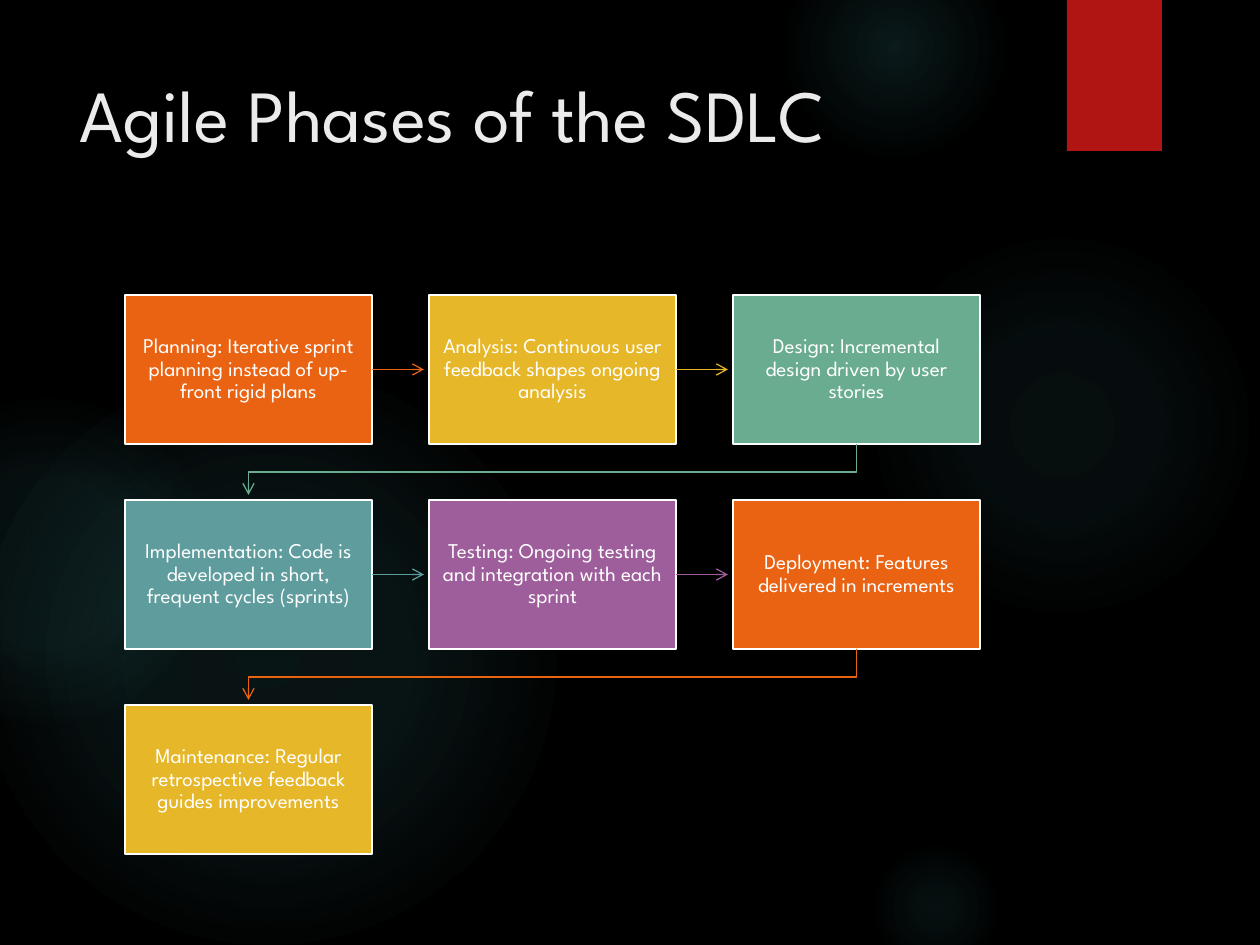
from dataclasses import dataclass

from lxml import etree
from pptx import Presentation
from pptx.dml.color import RGBColor
from pptx.enum.shapes import MSO_CONNECTOR, MSO_SHAPE
from pptx.enum.text import MSO_ANCHOR, MSO_AUTO_SIZE, PP_ALIGN
from pptx.oxml import parse_xml
from pptx.oxml.ns import qn
from pptx.util import Emu, Pt

RECT, OVAL = MSO_SHAPE.RECTANGLE, MSO_SHAPE.OVAL
LINE = MSO_CONNECTOR.STRAIGHT
TOP, MIDDLE = MSO_ANCHOR.TOP, MSO_ANCHOR.MIDDLE
LEFT, CENTER = PP_ALIGN.LEFT, PP_ALIGN.CENTER
SCALE = 914400 / 126
RIGHT_SIDE = 3
NS = "http://schemas.openxmlformats.org/drawingml/2006/main"


@dataclass
class Theme:
    font: str = "League Spartan"
    back: str = "000000"
    ribbon: str = "B01513"
    glow: str = "50B9C1"
    title: str = "EBEBEB"
    text: str = "FFFFFF"
    hues: tuple = ("EA6312", "E6B729", "6AAC90", "5F9C9D", "9E5E9B")
    head: int = 42
    body: int = 12
    edge: float = 1.5
    link: float = 0.75


def px(n):
    return Emu(round(n * SCALE))


def style(para, size, color, align):
    para.font.name = theme.font
    para.font.size = Pt(size)
    para.font.color.rgb = RGBColor.from_string(color)
    para.alignment = align


theme = Theme()
deck = Presentation()
deck.slide_width, deck.slide_height = px(1260), px(945)
slide = deck.slides.add_slide(deck.slide_layouts[5])
shapes = slide.shapes
slide.background.fill.solid()
slide.background.fill.fore_color.rgb = RGBColor.from_string(theme.back)

# Soft round glows: left, top, size, then (position, opacity) stops in percent
glows = [
    (868, 231, 388, [(0, 7), (36, 6), (69, 0)]),
    (784, -63, 221, [(0, 14), (36, 7), (73, 0)]),
    (868, 840, 136, [(0, 9), (36, 5), (66, 0)]),
    (-21, 368, 577, [(0, 11), (36, 10), (75, 0)]),
    (-116, 399, 325, [(0, 8), (36, 8), (72, 0)]),
]
for x, y, size, stops in glows:
    glow = shapes.add_shape(OVAL, px(x), px(y), px(size), px(size))
    glow.shadow.inherit = False
    glow.line.fill.background()
    marks = "".join(
        f'<a:gs pos="{pos}000"><a:srgbClr val="{theme.glow}">'
        f'<a:alpha val="{alpha}000"/></a:srgbClr></a:gs>'
        for pos, alpha in stops
    )
    fill = parse_xml(
        f'<a:gradFill xmlns:a="{NS}"><a:gsLst>{marks}</a:gsLst><a:path path="circle">'
        '<a:fillToRect l="50000" t="50000" r="50000" b="50000"/></a:path></a:gradFill>'
    )
    glow.element.spPr.find(qn("a:prstGeom")).addnext(fill)

ribbon = shapes.add_shape(RECT, px(1067), px(0), px(95), px(151))
ribbon.shadow.inherit = False
ribbon.fill.solid()
ribbon.fill.fore_color.rgb = RGBColor.from_string(theme.ribbon)
ribbon.line.fill.background()

title = shapes.title
title.left, title.top, title.width, title.height = px(67), px(63), px(971), px(193)
title.element.getparent().append(title.element)  # bring in front of the glows
frame = title.text_frame
frame.text = "Agile Phases of the SDLC"
frame.auto_size = MSO_AUTO_SIZE.NONE
frame.vertical_anchor = TOP
style(frame.paragraphs[0], theme.head, theme.title, LEFT)

phases = [
    "Planning: Iterative sprint planning instead of up-front rigid plans",
    "Analysis: Continuous user feedback shapes ongoing analysis",
    "Design: Incremental design driven by user stories",
    "Implementation: Code is developed in short, frequent cycles (sprints)",
    "Testing: Ongoing testing and integration with each sprint",
    "Deployment: Features delivered in increments",
    "Maintenance: Regular retrospective feedback guides improvements",
]
COLS, X0, Y0 = 3, 125, 295
WIDE, HIGH, GAP, ROW_GAP = 247, 149, 57, 56
SHORT = 5  # space between an arrow tip and the next box

for i, phase in enumerate(phases):
    row, col = divmod(i, COLS)
    x, y = X0 + col * (WIDE + GAP), Y0 + row * (HIGH + ROW_GAP)
    hue = RGBColor.from_string(theme.hues[i % len(theme.hues)])

    box = shapes.add_shape(RECT, px(x), px(y), px(WIDE), px(HIGH))
    box.shadow.inherit = False
    box.fill.solid()
    box.fill.fore_color.rgb = hue
    box.line.color.rgb = RGBColor.from_string(theme.text)
    box.line.width = Pt(theme.edge)
    frame = box.text_frame
    frame.text = phase
    frame.word_wrap = True
    frame.vertical_anchor = MIDDLE
    frame.margin_left = frame.margin_right = px(13)
    frame.margin_top = frame.margin_bottom = px(13)
    para = frame.paragraphs[0]
    para.line_spacing = 0.9
    style(para, theme.body, theme.text, CENTER)

    if i == len(phases) - 1:
        break
    if col < COLS - 1:
        mid = y + HIGH / 2
        link = shapes.add_connector(
            LINE, px(x + WIDE), px(mid), px(x + WIDE + GAP - SHORT), px(mid))
        link.begin_connect(box, RIGHT_SIDE)
        etree.SubElement(link.element.spPr, qn("a:effectLst"))
    else:
        start, end = x + WIDE / 2, X0 + WIDE / 2
        base = y + HIGH
        turn = base + ROW_GAP / 2
        pen = shapes.build_freeform(px(start), px(base))
        pen.add_line_segments(
            [(px(start), px(turn)), (px(end), px(turn)),
             (px(end), px(base + ROW_GAP - SHORT))], close=False)
        link = pen.convert_to_shape()
        link.shadow.inherit = False
        link.fill.background()
    link.line.color.rgb = hue
    link.line.width = Pt(theme.link)
    etree.SubElement(link.line._get_or_add_ln(), qn("a:tailEnd"), type="arrow")

deck.save("out.pptx")
